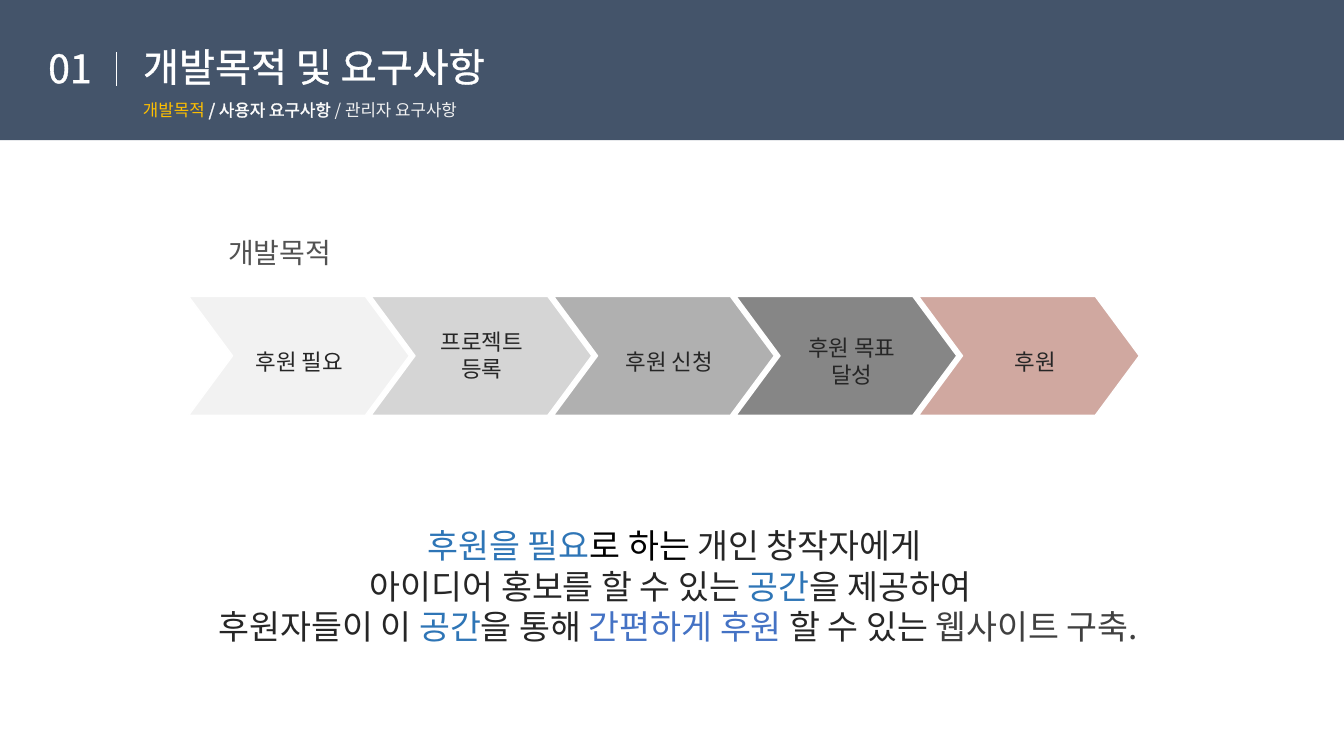
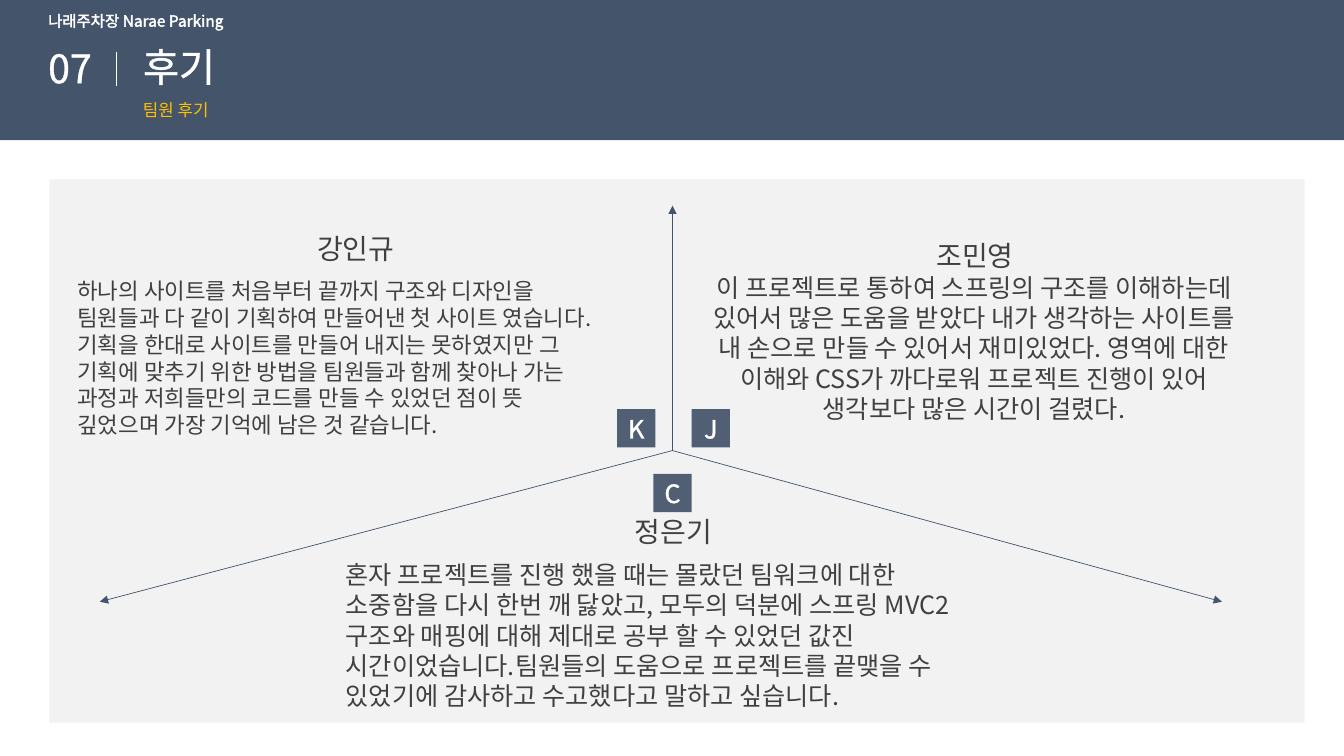
from collections import namedtuple

from lxml import etree
from pptx import Presentation
from pptx import util as u
from pptx.dml.color import RGBColor
from pptx.enum import shapes, text
from pptx.oxml import ns

FONT = "Noto Sans CJK KR"
WHITE = RGBColor(0xFF, 0xFF, 0xFF)
PALE = RGBColor(0xF2, 0xF2, 0xF2)
NAVY = RGBColor(0x44, 0x54, 0x6A)
GOLD = RGBColor(0xFF, 0xC0, 0x00)
BLACK = RGBColor(0x00, 0x00, 0x00)
DARK = RGBColor(0x26, 0x26, 0x26)
GREY = RGBColor(0x40, 0x40, 0x40)
MID_GREY = RGBColor(0x52, 0x52, 0x52)
BLUE = RGBColor(0x2E, 0x75, 0xB6)
INDIGO = RGBColor(0x44, 0x72, 0xC4)
STEP_COLOURS = [
    PALE,
    RGBColor(0xD5, 0xD5, 0xD5),
    RGBColor(0xB0, 0xB0, 0xB0),
    RGBColor(0x86, 0x86, 0x86),
    RGBColor(0xD0, 0xA8, 0xA0),
]

# Text colour, thin outline colour and opacity in percent
Ink = namedtuple("Ink", "colour outline opacity", defaults=[100])
HEADING = Ink(WHITE, WHITE)
CRUMB_ON = Ink(GOLD, PALE)
CRUMB_OFF = Ink(WHITE, PALE)
CRUMB_NEXT = Ink(PALE, PALE)
PLAIN = Ink(DARK, DARK)
KEYWORD = Ink(BLUE, DARK)
BODY = Ink(GREY, GREY, 90)
NAME = Ink(GOLD, GREY, 90)

LEFT = text.PP_ALIGN.LEFT
CENTER = text.PP_ALIGN.CENTER
TOP = text.MSO_ANCHOR.TOP
MIDDLE = text.MSO_ANCHOR.MIDDLE


def set_opacity(fill_parent, percent):
    colour = fill_parent.find(ns.qn("a:solidFill"))[0]
    etree.SubElement(colour, ns.qn("a:alpha"), val=str(percent * 1000))


def add_run(paragraph, words, ink, size):
    run = paragraph.add_run()
    run.text = words
    run.font.size = u.Pt(size)
    run.font.color.rgb = ink.colour
    run.font.name = FONT
    props = run.font._element
    if ink.opacity < 100:
        set_opacity(props, ink.opacity)
    etree.SubElement(props, ns.qn("a:ea"), typeface=FONT)
    outline = etree.Element(ns.qn("a:ln"), w=str(u.Pt(0.25)))
    solid = etree.SubElement(outline, ns.qn("a:solidFill"))
    etree.SubElement(solid, ns.qn("a:srgbClr"), val=str(ink.outline))
    props.insert(0, outline)


def fill_frame(frame, paragraphs, size, align, anchor, spacing=None):
    """Each paragraph is a list of (words, ink) runs."""
    frame.vertical_anchor = anchor
    for index, runs in enumerate(paragraphs):
        paragraph = frame.paragraphs[0] if index == 0 else frame.add_paragraph()
        paragraph.alignment = align
        if spacing:
            paragraph.line_spacing = spacing
        for words, ink in runs:
            add_run(paragraph, words, ink, size)


def add_text(slide, box, paragraphs, size, align=CENTER, anchor=TOP, spacing=None):
    frame = slide.shapes.add_textbox(*map(u.Inches, box)).text_frame
    frame.word_wrap = True
    fill_frame(frame, paragraphs, size, align, anchor, spacing)


def add_block(slide, kind, box, colour, edge=None):
    block = slide.shapes.add_shape(kind, *map(u.Inches, box))
    block.shadow.inherit = False
    block.fill.solid()
    block.fill.fore_color.rgb = colour
    if edge is None:
        block.line.fill.background()
    else:
        block.line.color.rgb = edge
        block.line.width = u.Pt(1)
    return block


def add_line(slide, start, end, colour, width, arrow=False):
    line = slide.shapes.add_connector(
        shapes.MSO_CONNECTOR.STRAIGHT, *map(u.Inches, (*start, *end)))
    line.line.color.rgb = colour
    line.line.width = u.Pt(width)
    if arrow:
        etree.SubElement(line.line._get_or_add_ln(), ns.qn("a:tailEnd"), type="triangle")
    etree.SubElement(line._element.spPr, ns.qn("a:effectLst"))


def add_header(slide, number, title, crumbs):
    add_block(slide, shapes.MSO_SHAPE.RECTANGLE, (0, 0, 13.33, 1.39), NAVY)
    add_line(slide, (1.16, 0.52), (1.16, 0.85), WHITE, 0.75)
    add_text(slide, (0.38, 0.44, 0.94, 0.52), [[(number, HEADING)]], 28, LEFT, TOP, 0.9)
    add_text(slide, (1.32, 0.42, 4.56, 0.53), [[(title, HEADING)]], 28, LEFT, MIDDLE, 0.9)
    add_text(slide, (1.32, 0.98, 4.56, 0.24), [crumbs], 12, LEFT, MIDDLE, 0.9)


def add_step(slide, index, lines, label_center, label_top):
    chevron = add_block(slide, shapes.MSO_SHAPE.CHEVRON,
                        (1.87 + 1.81 * index, 2.94, 2.19, 1.18), STEP_COLOURS[index], WHITE)
    chevron.adjustments[0] = 0.37
    width = 1.5
    add_text(slide, (label_center - width / 2, label_top, width, 0.1 + 0.27 * len(lines)),
             [[(line, PLAIN)] for line in lines], 16)


def add_badge(slide, left, top, letter):
    badge = add_block(slide, shapes.MSO_SHAPE.RECTANGLE, (left, top, 0.38, 0.38), NAVY)
    set_opacity(badge._element.spPr, 93)
    badge.text_frame.word_wrap = False
    fill_frame(badge.text_frame, [[(letter, HEADING)]], 18, CENTER, MIDDLE)


def add_review(slide, name, name_at, review, box, size, align, anchor):
    add_text(slide, (*name_at, 1.98, 0.44), [[(name, NAME)]], 20)
    add_text(slide, box, [[(review, BODY)]], size, align, anchor)


def build_purpose(slide):
    add_header(slide, "01", "개발목적 및 요구사항", [
        ("개발목적 ", CRUMB_ON),
        ("/ 사용자 요구사항 ", CRUMB_OFF),
        ("/ 관리자 요구사항", CRUMB_NEXT),
    ])
    add_text(slide, (1.87, 2.29, 1.81, 0.44), [[("개발목적", Ink(MID_GREY, DARK))]], 20)

    # Funding process
    steps = [
        (["후원 필요"], 2.97, 3.4),
        (["프로젝트", "등록"], 4.78, 3.21),
        (["후원 신청"], 6.64, 3.4),
        (["후원 목표", "달성"], 8.45, 3.27),
        (["후원"], 10.27, 3.4),
    ]
    for index, step in enumerate(steps):
        add_step(slide, index, *step)

    # Statement of purpose
    add_text(slide, (0.64, 5.16, 12.1, 1.31), [
        [("후원을 필요", KEYWORD), ("로 하는 ", Ink(BLACK, DARK)), ("개인 창작자에게", PLAIN)],
        [("아이디어 홍보를 할 수 있는 ", PLAIN), ("공간", KEYWORD), ("을 제공하여 ", PLAIN)],
        [(" 후원자들이 이 ", PLAIN), ("공간", KEYWORD), ("을 통해 ", PLAIN),
         ("간편하게 후원 ", Ink(INDIGO, DARK)), ("할 수 있는", PLAIN), (" 웹사이트 구축.", BODY)],
    ], 24)


def build_reviews(slide):
    add_header(slide, "07", "후기", [("팀원 후기", CRUMB_ON)])
    add_text(slide, (0.38, 0.08, 2.33, 0.27), [[("나래주차장 Narae Parking", HEADING)]],
             11, LEFT, MIDDLE, 0.9)
    add_block(slide, shapes.MSO_SHAPE.RECTANGLE, (0.49, 1.78, 12.45, 5.39), PALE)

    # Three arrows divide the panel
    for tip in [(12.12, 5.97), (6.67, 2.04), (0.99, 5.97)]:
        add_line(slide, (6.67, 4.47), tip, NAVY, 0.5, arrow=True)
    for badge in [(6.12, 4.06, "K"), (6.86, 4.06, "J"), (6.48, 4.7, "C")]:
        add_badge(slide, *badge)

    # Team members
    add_review(
        slide, "강인규", (2.54, 2.25),
        "하나의 사이트를 처음부터 끝까지 구조와 디자인을 팀원들과 다 같이 기획하여 만들어낸 "
        "첫 사이트 였습니다. 기획을 한대로 사이트를 만들어 내지는 못하였지만 그 기획에 맞추기 "
        "위한 방법을 팀원들과 함께 찾아나 가는 과정과 저희들만의 코드를 만들 수 있었던 점이 "
        "뜻 깊었으며 가장 기억에 남은 것 같습니다.",
        (0.67, 2.7, 5.48, 1.72), 16, LEFT, TOP)
    add_review(
        slide, "조민영", (8.68, 2.32),
        "이 프로젝트로 통하여 스프링의 구조를 이해하는데 있어서 많은 도움을 받았다 내가 "
        "생각하는 사이트를 내 손으로 만들 수 있어서 재미있었다. 영역에 대한 이해와 CSS가 "
        "까다로워 프로젝트 진행이 있어 생각보다 많은 시간이 걸렸다.",
        (6.86, 2.64, 5.6, 1.62), 18, CENTER, MIDDLE)
    add_review(
        slide, "정은기", (5.69, 5.06),
        "혼자 프로젝트를 진행 했을 때는 몰랐던 팀워크에 대한 소중함을 다시 한번 깨 닳았고, "
        "모두의 덕분에 스프링 MVC2구조와 매핑에 대해 제대로 공부 할 수 있었던 값진 "
        "시간이었습니다.팀원들의 도움으로 프로젝트를 끝맺을 수 있었기에 감사하고 수고했다고 "
        "말하고 싶습니다.",
        (3.33, 5.49, 6.58, 1.62), 18, LEFT, MIDDLE)


def main():
    deck = Presentation()
    deck.slide_width = u.Inches(13.33)
    deck.slide_height = u.Inches(7.5)
    for build in (build_purpose, build_reviews):
        build(deck.slides.add_slide(deck.slide_layouts[6]))
    deck.save("out.pptx")


if __name__ == "__main__":
    main()
